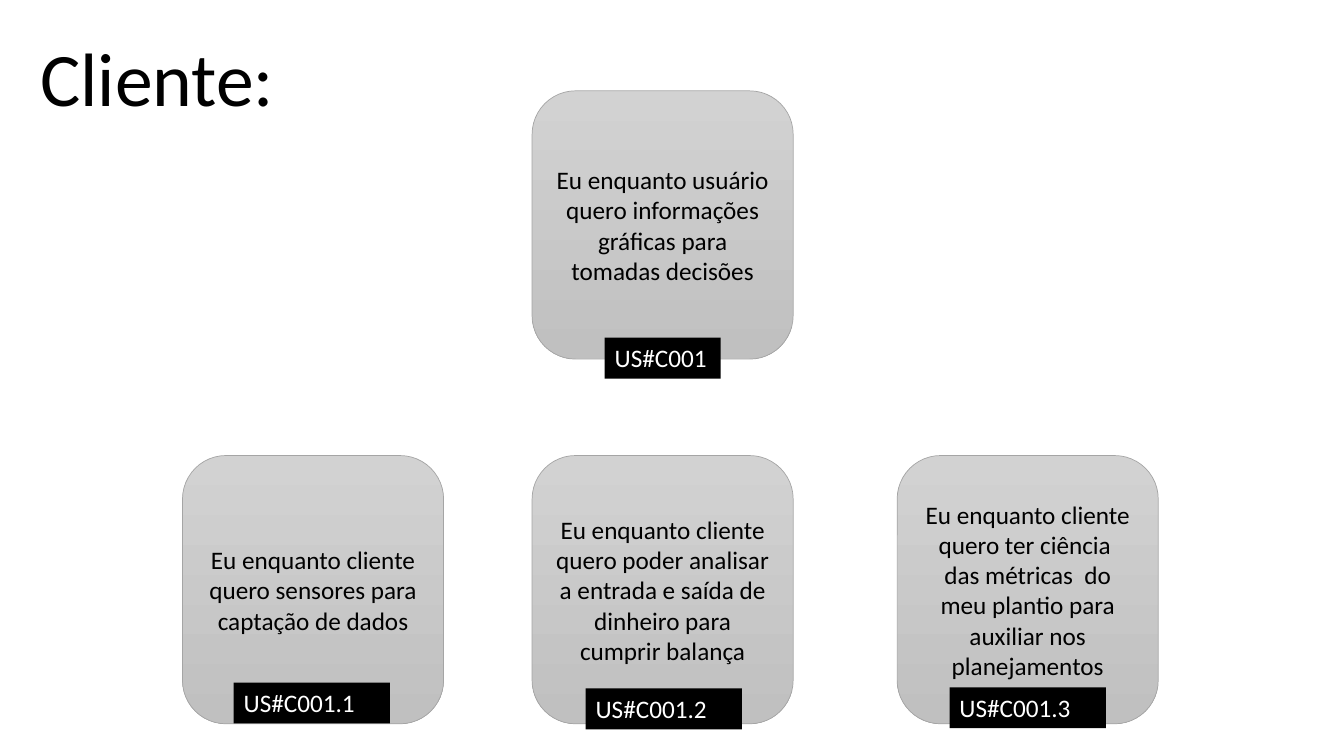
from dataclasses import dataclass

from pptx import Presentation
from pptx.dml.color import RGBColor
from pptx.enum.shapes import MSO_SHAPE
from pptx.enum.text import MSO_ANCHOR, MSO_AUTO_SIZE, PP_ALIGN
from pptx.util import Cm, Pt

ROUNDED = MSO_SHAPE.ROUNDED_RECTANGLE
RECTANGLE = MSO_SHAPE.RECTANGLE
LEFT, CENTER = PP_ALIGN.LEFT, PP_ALIGN.CENTER
TOP, MIDDLE = MSO_ANCHOR.TOP, MSO_ANCHOR.MIDDLE
NO_AUTOSIZE = MSO_AUTO_SIZE.NONE
TITLE_ONLY = 5


@dataclass(frozen=True)
class Theme:
    font: str = "Calibri"
    title_size: int = 54
    body_size: int = 18
    dark: str = "000000"
    light: str = "FFFFFF"
    card_top: str = "D2D2D2"
    card_bottom: str = "C0C0C0"
    card_line: str = "A5A5A5"


class StoryBoard:
    """Holds the theme and the current slide."""

    def __init__(self, deck, theme):
        self.theme = theme
        self.slide = deck.slides.add_slide(deck.slide_layouts[TITLE_ONLY])

    def set_text(self, shape, text, size, color, align, anchor):
        frame = shape.text_frame
        frame.text = text
        frame.word_wrap = True
        frame.auto_size = NO_AUTOSIZE
        frame.vertical_anchor = anchor
        para = frame.paragraphs[0]
        para.alignment = align
        font = para.runs[0].font
        font.name = self.theme.font
        font.size = Pt(size)
        font.color.rgb = RGBColor.from_string(color)

    def title(self, text, left, top, width, height):
        box = self.slide.shapes.title
        box.left, box.top = Cm(left), Cm(top)
        box.width, box.height = Cm(width), Cm(height)
        self.set_text(box, text, self.theme.title_size, self.theme.dark, LEFT, TOP)

    def shape(self, preset, left, top, width, height):
        shape = self.slide.shapes.add_shape(
            preset, Cm(left), Cm(top), Cm(width), Cm(height))
        shape.shadow.inherit = False
        return shape

    def card(self, text, left, top):
        theme = self.theme
        card = self.shape(ROUNDED, left, top, CARD_WIDTH, CARD_HEIGHT)
        card.fill.gradient()
        card.fill.gradient_angle = 270
        for stop, color in zip(card.fill.gradient_stops,
                               (theme.card_top, theme.card_bottom)):
            stop.color.rgb = RGBColor.from_string(color)
        card.line.color.rgb = RGBColor.from_string(theme.card_line)
        card.line.width = Pt(0.5)
        self.set_text(card, text, theme.body_size, theme.dark, CENTER, MIDDLE)

    def tag(self, text, left, top, width):
        tag = self.shape(RECTANGLE, left, top, width, TAG_HEIGHT)
        tag.fill.solid()
        tag.fill.fore_color.rgb = RGBColor.from_string(self.theme.dark)
        tag.line.fill.background()
        self.set_text(tag, text, self.theme.body_size, self.theme.light, LEFT, TOP)


# Sizes and story positions in centimetres
CARD_WIDTH, CARD_HEIGHT = 6.58, 6.76
TAG_HEIGHT = 1.03
MAIN_TAG, SUB_TAG = 2.92, 3.94
MAIN_ROW, SUB_ROW = 2.29, 11.48
FIRST, SECOND, THIRD = 4.6, 13.41, 22.61

# Story, card left and top, tag code, tag left, top and width
STORIES = [
    ("Eu enquanto usuário quero informações gráficas para tomadas decisões",
     SECOND, MAIN_ROW, "US#C001", 15.24, 8.51, MAIN_TAG),
    ("Eu enquanto cliente quero sensores para captação de dados",
     FIRST, SUB_ROW, "US#C001.1", 5.89, 17.2, SUB_TAG),
    ("Eu enquanto cliente quero poder analisar a entrada e saída de "
     "dinheiro para cumprir balança",
     SECOND, SUB_ROW, "US#C001.2", 14.76, 17.35, SUB_TAG),
    ("Eu enquanto cliente quero ter ciência  das métricas  do meu plantio "
     "para auxiliar nos planejamentos",
     THIRD, SUB_ROW, "US#C001.3", 23.93, 17.32, SUB_TAG),
]


def main():
    deck = Presentation()
    deck.slide_width, deck.slide_height = Cm(33.87), Cm(19.05)
    board = StoryBoard(deck, Theme())

    # Heading
    board.title("Cliente:", 0.76, 0.64, 8.84, 2.57)

    # Story cards, each with its code tag
    for story, left, top, code, tag_left, tag_top, tag_width in STORIES:
        board.card(story, left, top)
        board.tag(code, tag_left, tag_top, tag_width)

    deck.save("out.pptx")


if __name__ == "__main__":
    main()
